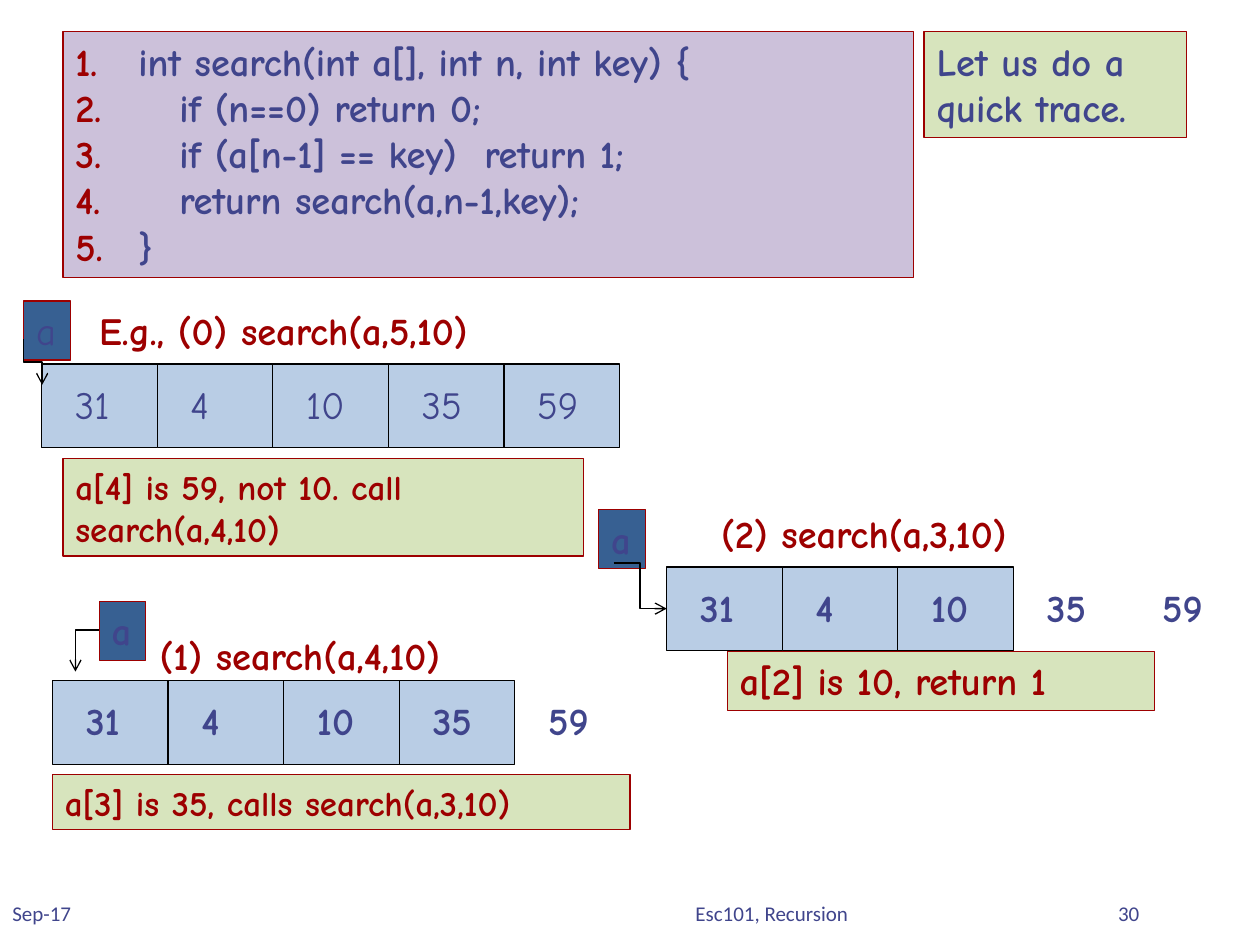
from dataclasses import dataclass

from lxml.etree import SubElement
from pptx import Presentation
from pptx.dml.color import RGBColor
from pptx.enum.shapes import MSO_CONNECTOR, MSO_SHAPE
from pptx.enum.text import MSO_ANCHOR, MSO_AUTO_SIZE, PP_ALIGN
from pptx.oxml.ns import qn
from pptx.util import Cm, Pt

RED = RGBColor(0x9D, 0x00, 0x00)
INDIGO = RGBColor(0x40, 0x45, 0x8C)
LILAC = RGBColor(0xCC, 0xC1, 0xDA)
GREEN = RGBColor(0xD7, 0xE4, 0xBD)
LIGHT_BLUE = RGBColor(0xB9, 0xCD, 0xE5)
DARK_BLUE = RGBColor(0x37, 0x60, 0x92)
BLACK = RGBColor(0x00, 0x00, 0x00)

CELL_WIDTH, CELL_HEIGHT = 2.33, 1.69
TEXT_HEIGHT = 1.19
VALUES = ["31", "4", "10", "35", "59"]
CODE = [
    "int search(int a[], int n, int key) {",
    "   if (n==0) return 0;",
    "   if (a[n-1] == key)  return 1;",
    "   return search(a,n-1,key);",
    "}",
]


@dataclass
class Box:
    """A rectangle in centimetres."""
    left: float
    top: float
    width: float
    height: float

    def lengths(self) -> tuple:
        return Cm(self.left), Cm(self.top), Cm(self.width), Cm(self.height)


@dataclass
class Style:
    size: float = 22
    color: RGBColor = INDIGO
    bold: bool = True
    font: str = "Comic Neue"
    align: PP_ALIGN = PP_ALIGN.LEFT


@dataclass
class Arrow:
    """An elbow from start to end, turned about its centre."""
    start: tuple
    end: tuple
    rotation: int = 0
    preset: str = "bentConnector3"


@dataclass
class Trace:
    """One recursive call: its array, pointer, label and outcome."""
    left: float
    top: float
    cells: int
    pointer: tuple
    arrow: Arrow
    label: str
    label_box: Box
    note: str
    note_box: Box
    note_size: float
    bold: bool = True


TRACES = [
    Trace(0.84, 7.34, 5, (0.48, 6.07), Arrow((1.12, 7.11), (0.2, 7.49), 270),
          "E.g., (0) search(a,5,10)", Box(1.75, 6.07, 9.75, TEXT_HEIGHT),
          "a[4] is 59, not 10. call search(a,4,10)", Box(1.27, 9.25, 10.49, 1.96), 20, bold=False),
    Trace(1.06, 13.72, 4, (2, 12.12), Arrow((1.52, 13.54), (2, 12.7), 180, "bentConnector2"),
          "(1) search(a,4,10)", Box(2.97, 12.62, 7.49, TEXT_HEIGHT),
          "a[3] is 35, calls search(a,3,10)", Box(1.06, 15.62, 11.64, 1.11), 20),
    Trace(13.44, 11.43, 3, (12.07, 10.27), Arrow((12.37, 11.35), (13.44, 12.27)),
          "(2) search(a,3,10)", Box(14.29, 10.16, 7.49, TEXT_HEIGHT),
          "a[2] is 10, return 1", Box(14.66, 13.13, 8.61, TEXT_HEIGHT), 22),
]


def write(shape, lines: list[str], style: Style, wrap: bool = True) -> None:
    frame = shape.text_frame
    frame.text = "\n".join(lines)
    frame.word_wrap = wrap
    frame.auto_size = MSO_AUTO_SIZE.SHAPE_TO_FIT_TEXT
    frame.vertical_anchor = MSO_ANCHOR.TOP
    for paragraph in frame.paragraphs:
        paragraph.alignment = style.align
        for run in paragraph.runs:
            run.font.name = style.font
            run.font.size = Pt(style.size)
            run.font.bold = style.bold
            run.font.color.rgb = style.color


def add_rectangle(shapes, box: Box, fill: RGBColor, line: RGBColor = RED):
    shape = shapes.add_shape(MSO_SHAPE.RECTANGLE, *box.lengths())
    shape.shadow.inherit = False
    shape.fill.solid()
    shape.fill.fore_color.rgb = fill
    shape.line.color.rgb = line
    shape.line.width = Pt(0.75)
    return shape


def add_text(shapes, box: Box, text: str, style: Style, wrap: bool = False):
    shape = shapes.add_textbox(*box.lengths())
    write(shape, [text], style, wrap)
    return shape


def add_arrow(shapes, arrow: Arrow) -> None:
    points = [Cm(value) for value in (*arrow.start, *arrow.end)]
    connector = shapes.add_connector(MSO_CONNECTOR.ELBOW, *points)
    connector.line.color.rgb = BLACK
    connector.line.width = Pt(0.75)
    properties = connector._element.spPr
    properties.find(qn("a:prstGeom")).set("prst", arrow.preset)
    if arrow.rotation:
        properties.find(qn("a:xfrm")).set("rot", str(arrow.rotation * 60000))
    SubElement(properties.find(qn("a:ln")), qn("a:tailEnd"), type="arrow")
    SubElement(properties, qn("a:effectLst"))


def number_lines(shape) -> None:
    for paragraph in shape.text_frame.paragraphs:
        properties = paragraph._p.get_or_add_pPr()
        properties.set("marL", str(Cm(1.27)))
        properties.set("indent", str(-Cm(1.27)))
        color = SubElement(properties, qn("a:buClr"))
        SubElement(color, qn("a:srgbClr"), val=str(RED))
        SubElement(properties, qn("a:buAutoNum"), type="arabicPeriod")


def add_trace(slide, trace: Trace) -> None:
    shapes = slide.shapes.add_group_shape().shapes
    # Array cells, then every value, including those outside the range
    for index in range(trace.cells):
        left = trace.left + index * CELL_WIDTH
        add_rectangle(shapes, Box(left, trace.top, CELL_WIDTH, CELL_HEIGHT), LIGHT_BLUE, BLACK)
    for index, value in enumerate(VALUES):
        left = trace.left + index * CELL_WIDTH + 0.42
        width = 1.47 if len(value) > 1 else 0.99
        add_text(shapes, Box(left, trace.top + 0.21, width, TEXT_HEIGHT), value, Style(bold=trace.bold))
    # Pointer to the array
    pointer = add_rectangle(shapes, Box(*trace.pointer, 0.94, TEXT_HEIGHT), DARK_BLUE)
    write(pointer, ["a"], Style(bold=trace.bold), wrap=False)
    add_arrow(shapes, trace.arrow)
    # Call and outcome
    add_text(shapes, trace.label_box, trace.label, Style(color=RED))
    note = add_rectangle(shapes, trace.note_box, GREEN)
    write(note, [trace.note], Style(trace.note_size, RED))


def main() -> None:
    presentation = Presentation()
    presentation.slide_width, presentation.slide_height = Cm(25.4), Cm(19.05)
    slide = presentation.slides.add_slide(presentation.slide_layouts[6])

    # Code listing and remark
    listing = add_rectangle(slide.shapes, Box(1.27, 0.64, 17.14, 4.95), LILAC)
    write(listing, CODE, Style())
    number_lines(listing)
    remark = add_rectangle(slide.shapes, Box(18.63, 0.64, 5.29, 2.13), GREEN)
    write(remark, ["Let us do a quick trace."], Style())

    for trace in TRACES:
        add_trace(slide, trace)

    # Footer
    for left, width, text, align in [
        (0, 5.29, "Sep-17", PP_ALIGN.LEFT),
        (8.18, 9.17, "Esc101, Recursion", PP_ALIGN.RIGHT),
        (20.11, 5.29, "30", PP_ALIGN.CENTER),
    ]:
        style = Style(12, INDIGO, False, "Calibri", align)
        footer = add_text(slide.shapes, Box(left, 17.78, width, 1.27), text, style, wrap=True)
        footer.text_frame.auto_size = MSO_AUTO_SIZE.NONE
        footer.text_frame.vertical_anchor = MSO_ANCHOR.MIDDLE

    presentation.save("out.pptx")


if __name__ == "__main__":
    main()
